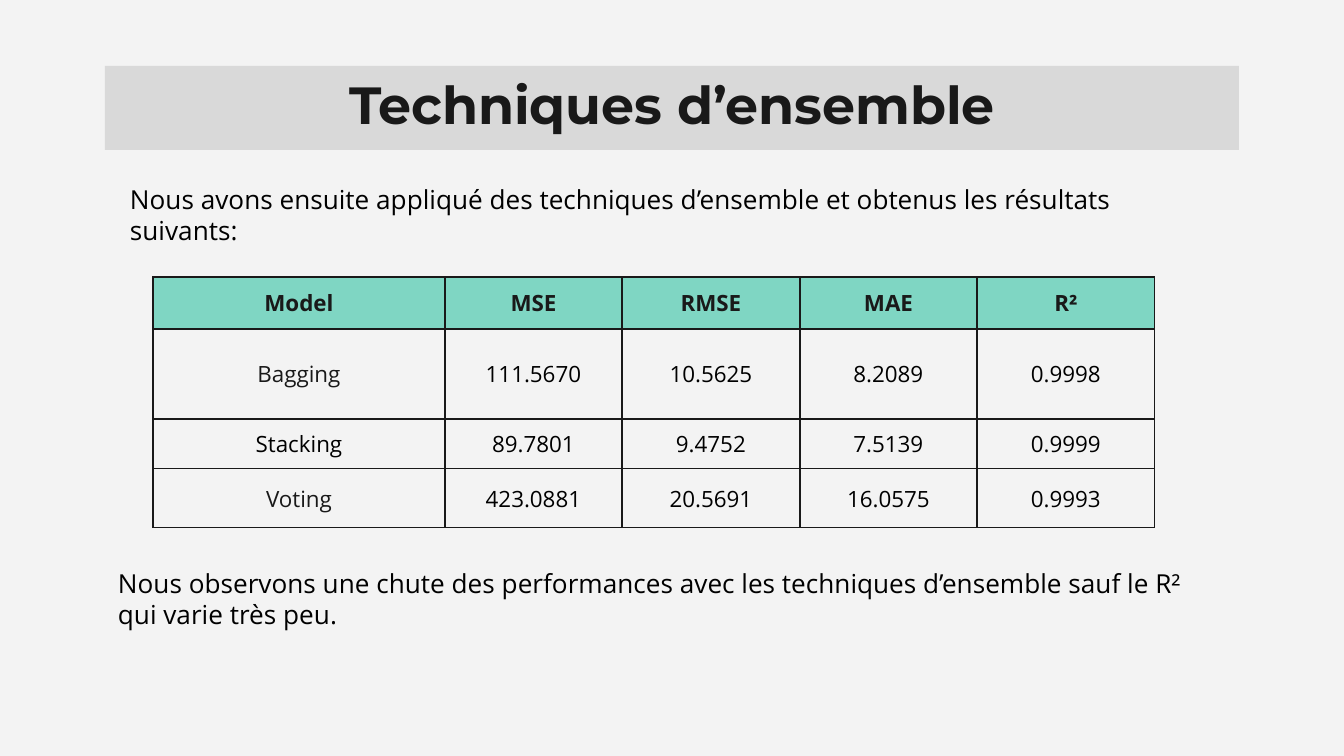
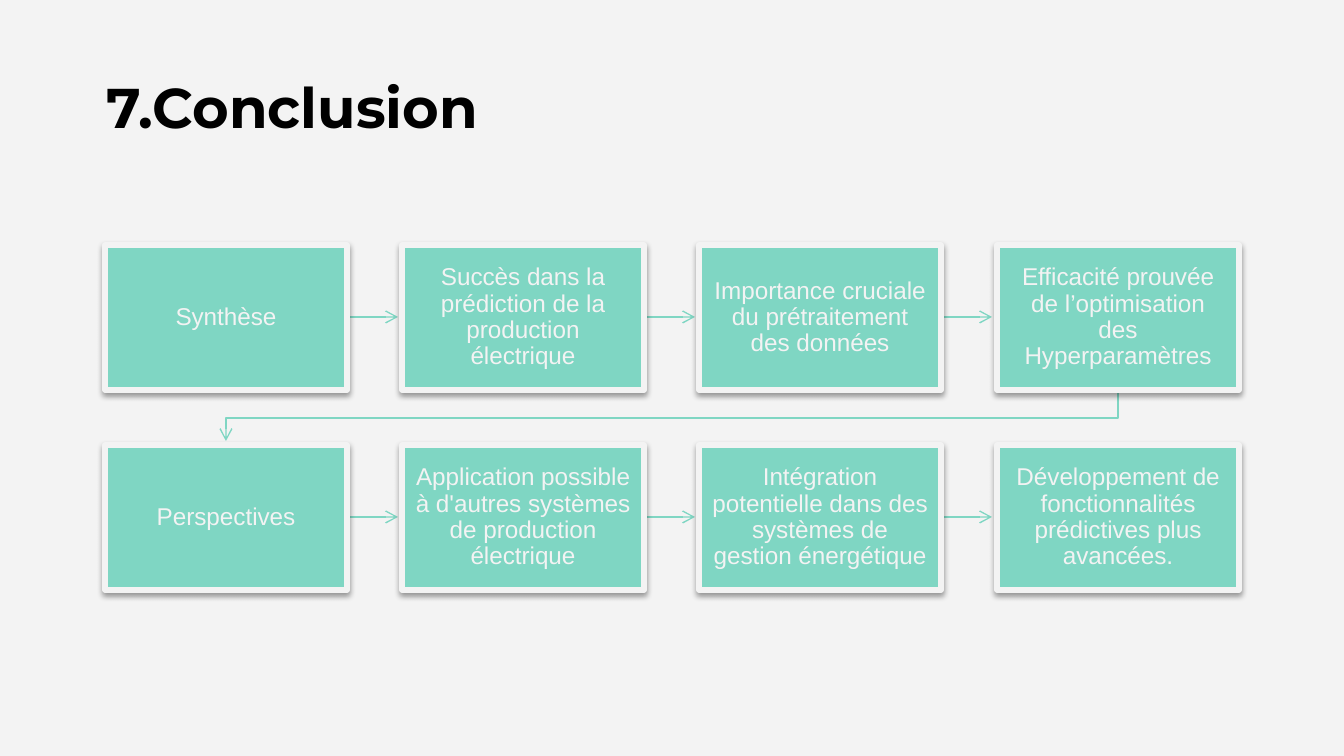
from lxml import etree
from pptx import Presentation
from pptx import util as u
from pptx.dml.color import RGBColor
from pptx.enum import shapes, text
from pptx.oxml import ns

SCALE = 9144000 / 1344  # EMU per px
PAPER = RGBColor(0xF3, 0xF3, 0xF3)
BAND = RGBColor(0xD9, 0xD9, 0xD9)
INK = RGBColor(0x19, 0x19, 0x19)
BLACK = RGBColor(0, 0, 0)
MINT = RGBColor(0x7F, 0xD6, 0xC3)
TITLE_FONT, BODY_FONT, BOX_FONT = "Montserrat", "Open Sans", "Arial"
LEFT, CENTER = text.PP_ALIGN.LEFT, text.PP_ALIGN.CENTER
TOP, MIDDLE = text.MSO_ANCHOR.TOP, text.MSO_ANCHOR.MIDDLE


def px(n):
    return u.Emu(round(n * SCALE))


def sub(parent, tag, **attrs):
    return etree.SubElement(parent, ns.qn(tag), attrs)


class Deck:
    def __init__(self):
        self.prs = Presentation()
        self.prs.slide_width, self.prs.slide_height = px(1344), px(756)

    def slide(self):
        self.s = self.prs.slides.add_slide(self.prs.slide_layouts[5])
        self.s.background.fill.solid()
        self.s.background.fill.fore_color.rgb = PAPER

    def add_text(self, tf, words, font, size, color, bold=False, align=LEFT,
                 spacing=None, after=0):
        p = tf.paragraphs[0]
        p.alignment = align
        p.line_spacing = spacing
        p.space_after = u.Pt(after)
        r = p.add_run()
        r.text = words
        r.font.name, r.font.size, r.font.bold = font, u.Pt(size), bold
        r.font.color.rgb = color

    def fit(self, tf, inset_x=13, inset_y=7, anchor=TOP):
        tf.word_wrap = True
        tf.auto_size = text.MSO_AUTO_SIZE.NONE
        tf.vertical_anchor = anchor
        tf.margin_left = tf.margin_right = px(inset_x)
        tf.margin_top = tf.margin_bottom = px(inset_y)

    def title(self, words, x, y, w, h, size, color, band=None, anchor=TOP,
              align=LEFT, spacing=None):
        sp = self.s.shapes.title
        sp.left, sp.top, sp.width, sp.height = map(px, (x, y, w, h))
        if band is not None:
            sp.fill.solid()
            sp.fill.fore_color.rgb = band
        self.fit(sp.text_frame, anchor=anchor)
        self.add_text(sp.text_frame, words, TITLE_FONT, size, color, True, align, spacing)

    def note(self, words, x, y, w, h):
        sp = self.s.shapes.add_textbox(*map(px, (x, y, w, h)))
        self.fit(sp.text_frame)
        self.add_text(sp.text_frame, words, BODY_FONT, 14, BLACK, after=6)

    def cell(self, cell, words, color, header):
        cell.vertical_anchor = MIDDLE
        cell.margin_left = cell.margin_right = px(13 if header else 0)
        cell.margin_top = cell.margin_bottom = px(9 if header else 0)
        self.add_text(cell.text_frame, words, BODY_FONT, 12, color, header, CENTER)
        # Borders come before the fill in the cell properties
        for side in ("a:lnL", "a:lnR", "a:lnT", "a:lnB"):
            ln = sub(cell._tc.get_or_add_tcPr(), side, w=str(int(u.Pt(0.75))))
            sub(sub(ln, "a:solidFill"), "a:srgbClr", val=str(INK))
        if header:
            cell.fill.solid()
            cell.fill.fore_color.rgb = MINT
        else:
            cell.fill.background()

    def table(self, rows, x, y, widths, heights):
        size = sum(widths), sum(heights)
        tbl = self.s.shapes.add_table(len(rows), len(widths),
                                      *map(px, (x, y, *size))).table
        tbl.first_row = tbl.horz_banding = False
        for col, w in zip(tbl.columns, widths):
            col.width = px(w)
        for i, (row, h) in enumerate(zip(rows, heights)):
            tbl.rows[i].height = px(h)
            for j, words in enumerate(row):
                label = i == 0 or (j == 0 and words != "Stacking")
                self.cell(tbl.cell(i, j), words, INK if label else BLACK, i == 0)

    def box(self, words, x, y, w, h):
        sp = self.s.shapes.add_shape(shapes.MSO_SHAPE.RECTANGLE, *map(px, (x, y, w, h)))
        sp.fill.solid()
        sp.fill.fore_color.rgb = MINT
        sp.line.color.rgb = PAPER
        sp.line.width = u.Pt(3)
        sp.shadow.inherit = False
        shadow = sub(sp._element.spPr.find(ns.qn("a:effectLst")), "a:outerShdw",
                     blurRad=str(int(u.Pt(3.1))), dist=str(int(u.Pt(1.6))),
                     dir="5400000", rotWithShape="0")
        sub(sub(shadow, "a:srgbClr", val=str(BLACK)), "a:alpha", val="38000")
        self.fit(sp.text_frame, 12, 12, MIDDLE)
        self.add_text(sp.text_frame, words, BOX_FONT, 13, PAPER, align=CENTER, spacing=0.9)

    def arrow(self, *points):
        points = [(px(x), px(y)) for x, y in points]
        if len(points) == 2:
            sp = self.s.shapes.add_connector(shapes.MSO_CONNECTOR.STRAIGHT,
                                             *points[0], *points[1])
        else:
            outline = self.s.shapes.build_freeform(*points[0])
            outline.add_line_segments(points[1:], close=False)
            sp = outline.convert_to_shape()
            sp.fill.background()
        sp.line.color.rgb = MINT
        sp.line.width = u.Pt(0.75)
        spPr = sp._element.spPr
        sub(spPr.find(ns.qn("a:ln")), "a:tailEnd", type="arrow")
        sub(spPr, "a:effectLst")


def ensemble_slide(deck):
    deck.slide()
    deck.title("Techniques d’ensemble", 105, 66, 1134, 84, 28, INK, BAND,
               MIDDLE, CENTER, 0.9)
    deck.note("Nous avons ensuite appliqué des techniques d’ensemble et obtenus "
              "les résultats suivants:", 117, 176, 1122, 132)
    deck.table([
        ("Model", "MSE", "RMSE", "MAE", "R²"),
        ("Bagging", "111.5670", "10.5625", "8.2089", "0.9998"),
        ("Stacking", "89.7801", "9.4752", "7.5139", "0.9999"),
        ("Voting", "423.0881", "20.5691", "16.0575", "0.9993"),
    ], 153, 277, (292, 177, 178, 177, 178), (52, 90, 50, 59))
    deck.note("Nous observons une chute des performances avec les techniques "
              "d’ensemble sauf le R² qui varie très peu.", 105, 560, 1122, 120)


def conclusion_slide(deck):
    deck.slide()
    deck.title("7.Conclusion", 94, 66, 672, 82, 30, BLACK)
    steps = [
        ("Synthèse",
         "Succès dans la prédiction de la production électrique",
         "Importance cruciale du prétraitement des données",
         "Efficacité prouvée de l’optimisation des Hyperparamètres"),
        ("Perspectives",
         "Application possible à d'autres systèmes de production électrique",
         "Intégration potentielle dans des systèmes de gestion énergétique",
         "Développement de fonctionnalités prédictives plus avancées."),
    ]
    w, h, top, pitch = 242, 145, 245, 200
    lefts = [105 + 892 * col // 3 for col in range(4)]
    # Link from the end of the first row to the start of the second
    start, end = lefts[-1] + w // 2, lefts[0] + w // 2
    turn = top + h + 28
    deck.arrow((start, top + h), (start, turn), (end, turn), (end, top + pitch - 4))
    # Boxes, each row chained from left to right
    for row, labels in enumerate(steps):
        y = top + row * pitch
        for x, label in zip(lefts, labels):
            if x != lefts[-1]:
                deck.arrow((x + w, y + h // 2), (x + w + 51, y + h // 2))
            deck.box(label, x, y, w, h)


def main():
    deck = Deck()
    ensemble_slide(deck)
    conclusion_slide(deck)
    deck.prs.save("out.pptx")


if __name__ == "__main__":
    main()
